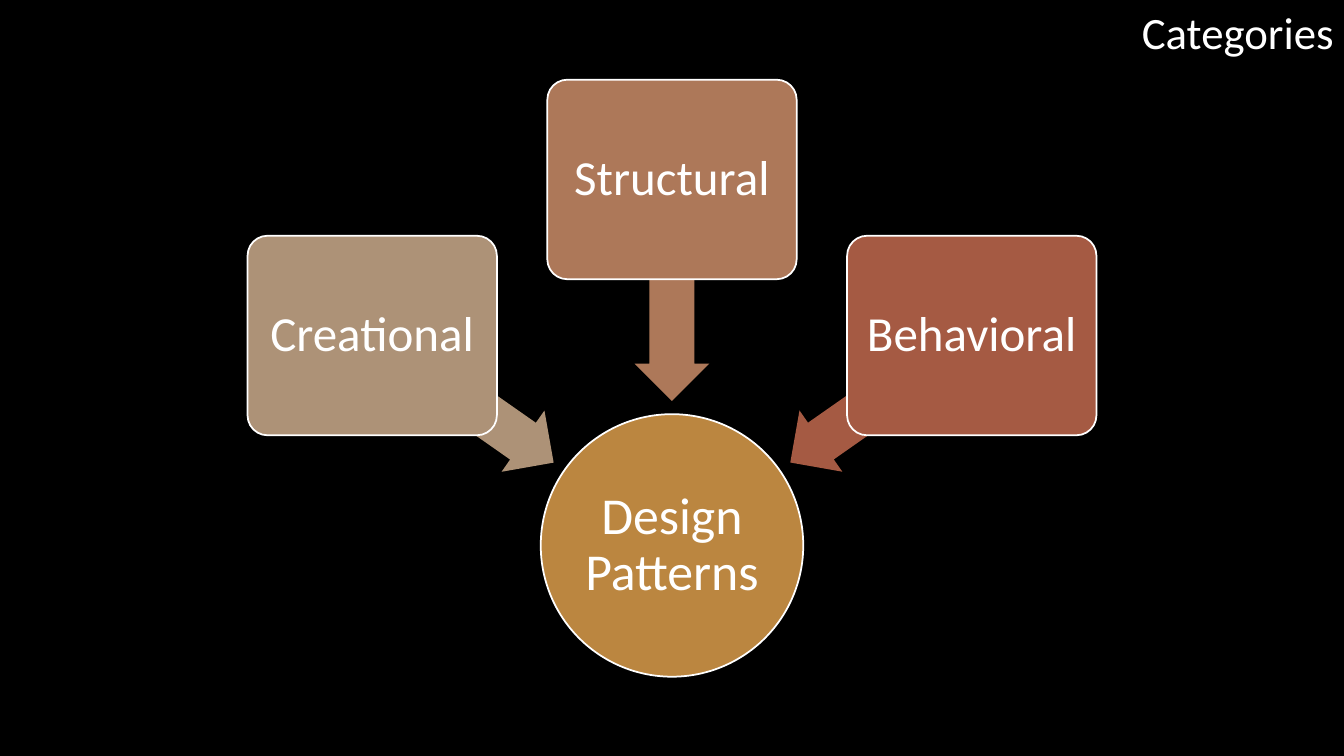
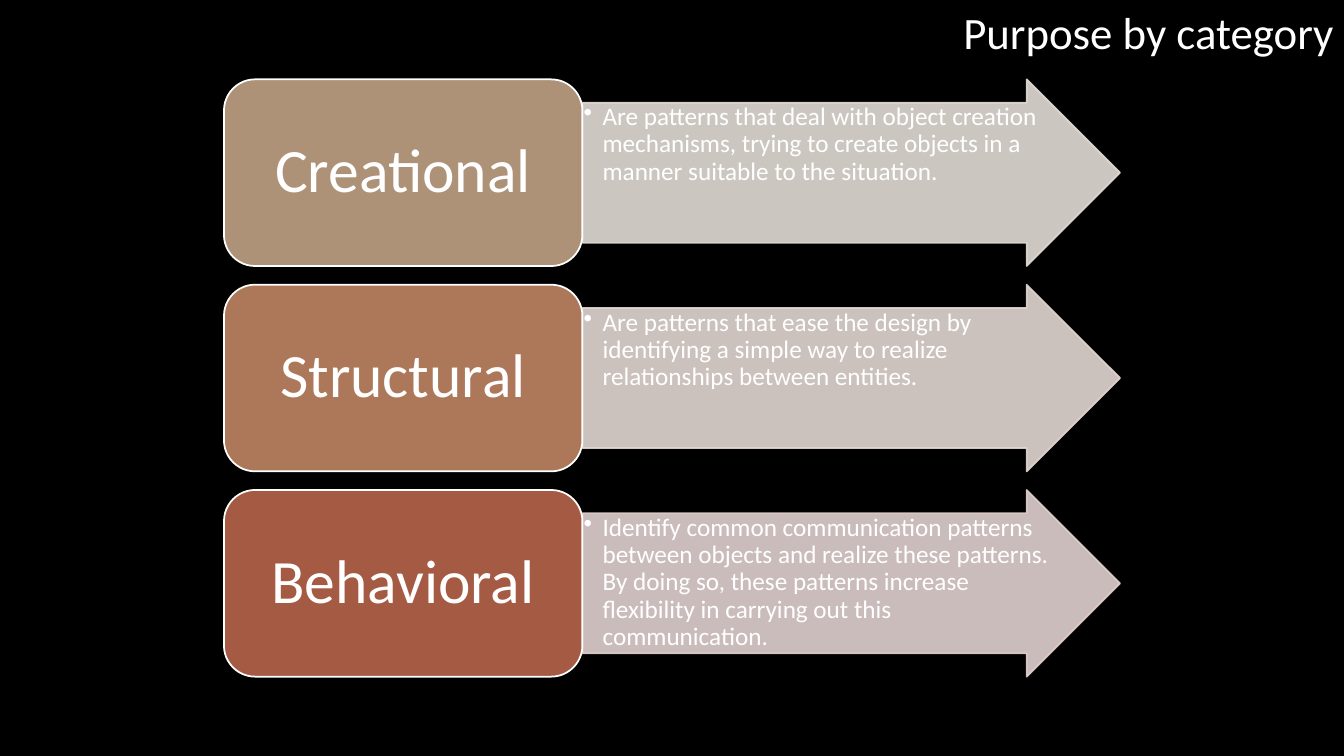
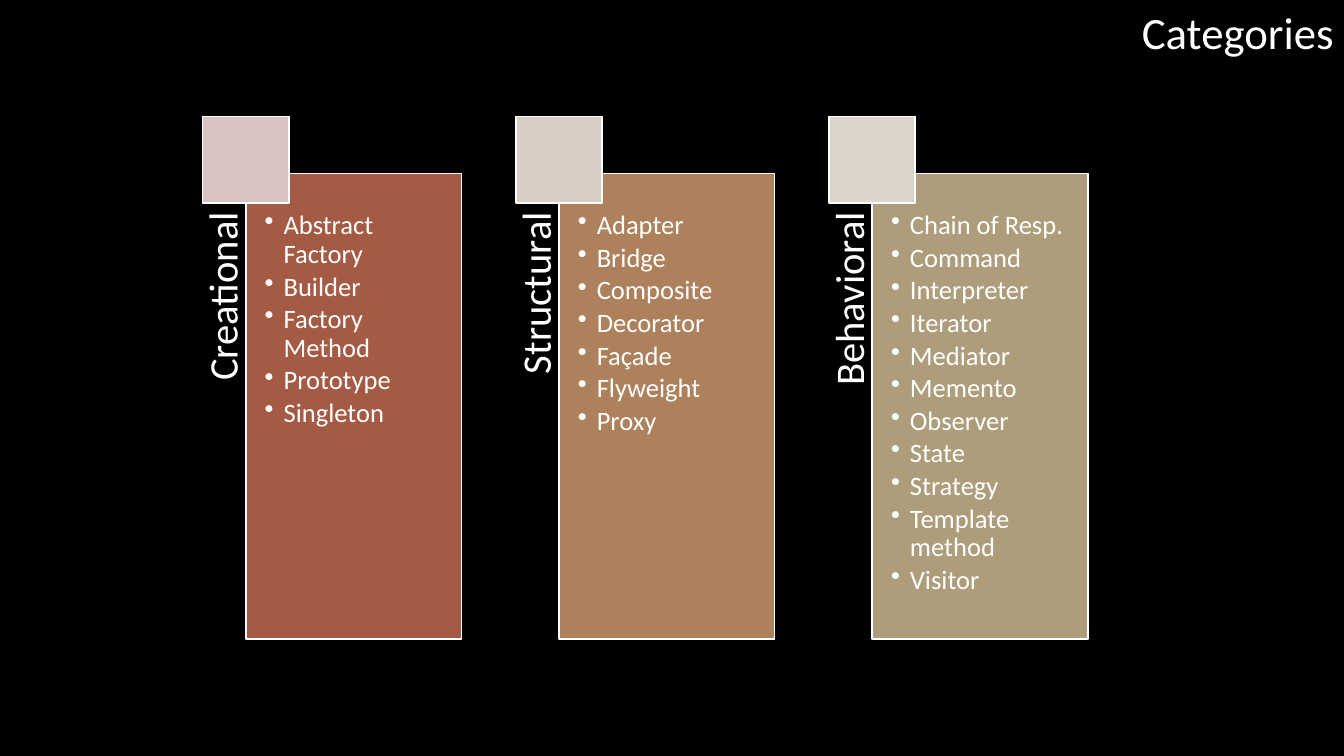
from math import cos, radians, sin

from pptx import Presentation
from pptx.dml.color import RGBColor
from pptx.enum import shapes, text
from pptx.oxml import ns, xmlchemy
from pptx.util import Pt

COLORS = {
    "black": "000000", "white": "FFFFFF", "gold": "BB8640",
    "sand": "AD9277", "clay": "AD7859", "rust": "A55A43",
    "pale sand": "E3DCD6", "pale clay": "E2D7D2", "pale rust": "E1D1CF",
    "copper": "AC815C", "olive": "AD9D7B",
    "rust tab": "D8C4C0", "copper tab": "D9CEC6", "olive tab": "DBD5CB",
}
FONT = "Calibri"
KIND = shapes.MSO_SHAPE
ALIGN = text.PP_ALIGN
ANCHOR = text.MSO_ANCHOR
CATEGORIES = [("Creational", "sand"), ("Structural", "clay"), ("Behavioral", "rust")]


def rgb(name):
    return RGBColor.from_string(COLORS[name])


def add_bullet(p, indent):
    pPr = p._p.get_or_add_pPr()
    pPr.set("marL", str(Pt(indent)))
    pPr.set("indent", str(-Pt(indent)))
    bullet = xmlchemy.OxmlElement("a:buChar")
    bullet.set("char", "•")
    pPr.append(bullet)


def write(tf, *lines, size, align=ALIGN.CENTER, anchor=ANCHOR.MIDDLE,
          insets=(7.2, 3.6, 7.2, 3.6), spacing=0.9, after=0, bullet=0, wrap=True):
    tf.word_wrap = wrap
    tf.vertical_anchor = anchor
    tf.margin_left, tf.margin_top, tf.margin_right, tf.margin_bottom = map(Pt, insets)
    for i, line in enumerate(lines):
        p = tf.add_paragraph() if i else tf.paragraphs[0]
        p.alignment = align
        p.line_spacing = spacing
        p.space_before = Pt(0)
        p.space_after = Pt(after)
        if bullet:
            add_bullet(p, bullet)
        r = p.add_run()
        r.text = line
        r.font.name = FONT
        r.font.size = Pt(size)
        r.font.color.rgb = rgb("white")


class Deck:
    def __init__(self, width, height):
        self.prs = Presentation()
        self.prs.slide_width, self.prs.slide_height = Pt(width), Pt(height)
        self.width = width
        fill = self.prs.slide_master.background.fill
        fill.solid()
        fill.fore_color.rgb = rgb("black")

    def slide(self, title, title_width):
        self.s = self.prs.slides.add_slide(self.prs.slide_layouts[5])
        sp = self.s.shapes.title
        sp.left, sp.top = Pt(self.width - title_width), Pt(0)
        sp.width, sp.height = Pt(title_width), Pt(46)
        write(sp.text_frame, title, size=32, align=ALIGN.RIGHT,
              anchor=ANCHOR.TOP, spacing=1.0, wrap=False)
        sp.text_frame.auto_size = text.MSO_AUTO_SIZE.SHAPE_TO_FIT_TEXT

    def shape(self, kind, x, y, w, h, fill, line="white", adjust=(), rotation=0, opacity=100):
        sp = self.s.shapes.add_shape(kind, Pt(x), Pt(y), Pt(w), Pt(h))
        sp.shadow.inherit = False
        sp.rotation = rotation
        for i, value in enumerate(adjust):
            sp.adjustments[i] = value
        sp.fill.solid()
        sp.fill.fore_color.rgb = rgb(fill)
        if line:
            sp.line.color.rgb = rgb(line)
            sp.line.width = Pt(1.25)
        else:
            sp.line.fill.background()
        if opacity < 100:
            for color in list(sp._element.spPr.iter(ns.qn("a:srgbClr"))):
                alpha = xmlchemy.OxmlElement("a:alpha")
                alpha.set("val", str(opacity * 1000))
                color.append(alpha)
        return sp.text_frame

    def centered(self, kind, cx, cy, w, h, fill, **style):
        return self.shape(kind, cx - w / 2, cy - h / 2, w, h, fill, **style)

    def vertical_label(self, label, cx, cy, length, thickness):
        sp = self.s.shapes.add_textbox(Pt(cx - length / 2), Pt(cy - thickness / 2),
                                       Pt(length), Pt(thickness))
        sp.rotation = 270
        write(sp.text_frame, label, size=29, align=ALIGN.RIGHT,
              anchor=ANCHOR.TOP, insets=(0, 0, 27.4, 0))


def categories_hub(deck):
    deck.slide("Categories", 159.4)
    hub_x, hub_y = 480, 389.6
    tf = deck.centered(KIND.OVAL, hub_x, hub_y, 187.5, 187.5, "gold")
    write(tf, "Design Patterns", size=37, insets=(2.3,) * 4)
    for (name, color), angle in zip(CATEGORIES, (215, 270, 325)):
        dx, dy = cos(radians(angle)), sin(radians(angle))
        deck.centered(KIND.LEFT_ARROW, hub_x + 182.4 * dx, hub_y + 182.4 * dy,
                      158.4, 53.4, color, line=None, adjust=(0.6, 0.5), rotation=angle)
        tf = deck.centered(KIND.ROUNDED_RECTANGLE, hub_x + 261.4 * dx, hub_y + 261.4 * dy,
                           178.1, 142.5, color, adjust=(0.1,))
        write(tf, name, size=35, insets=(4.8,) * 4)


def purposes(deck):
    deck.slide("Purpose by category", 293.4)
    texts = [
        "Are patterns that deal with object creation mechanisms, trying to create "
        "objects in a manner suitable to the situation.",
        "Are patterns that ease the design by identifying a simple way to realize "
        "relationships between entities.",
        "Identify common communication patterns between objects and realize these "
        "patterns. By doing so, these patterns increase flexibility in carrying out "
        "this communication.",
    ]
    left, top, box_w, arrow_w, height, gap = 160, 56.7, 256, 384, 133.3, 13.35
    for i, ((name, color), purpose) in enumerate(zip(CATEGORIES, texts)):
        y = top + i * (height + gap)
        pale = "pale " + color
        tf = deck.shape(KIND.RIGHT_ARROW, left + box_w, y, arrow_w, height, pale,
                        line=pale, adjust=(0.75, 0.5), opacity=90)
        write(tf, purpose, size=18, align=ALIGN.LEFT, anchor=ANCHOR.TOP,
              insets=(0.9,) * 4, bullet=13.5)
        tf = deck.shape(KIND.ROUNDED_RECTANGLE, left, y, box_w, height, color)
        write(tf, name, size=44, insets=(13.2, 6.6, 13.2, 6.6))


def pattern_lists(deck):
    deck.slide("Categories", 159.4)
    columns = [
        ("Creational", "rust", ["Abstract Factory", "Builder", "Factory Method",
                                "Prototype", "Singleton"]),
        ("Structural", "copper", ["Adapter", "Bridge", "Composite", "Decorator",
                                  "Façade", "Flyweight", "Proxy"]),
        ("Behavioral", "olive", ["Chain of Resp.", "Command", "Interpreter", "Iterator",
                                 "Mediator", "Memento", "Observer", "State", "Strategy",
                                 "Template method", "Visitor"]),
    ]
    top, width, height, tab, pitch = 124, 154, 332.6, 61.8, 223.7
    for i, (name, color, patterns) in enumerate(columns):
        x = 175.6 + i * pitch
        deck.vertical_label(name, x - tab / 4, top + height / 2, height, tab / 2)
        tf = deck.shape(KIND.RECTANGLE, x, top, width, height, color)
        write(tf, *patterns, size=19, align=ALIGN.LEFT, anchor=ANCHOR.TOP,
              insets=(13.5, 27.3, 13.5, 13.5), after=2.75, bullet=13.5)
        deck.shape(KIND.RECTANGLE, x - tab / 2, top - tab * 0.66, tab, tab, color + " tab")


def main():
    deck = Deck(960, 540)
    categories_hub(deck)
    purposes(deck)
    pattern_lists(deck)
    deck.prs.save("out.pptx")


if __name__ == "__main__":
    main()
